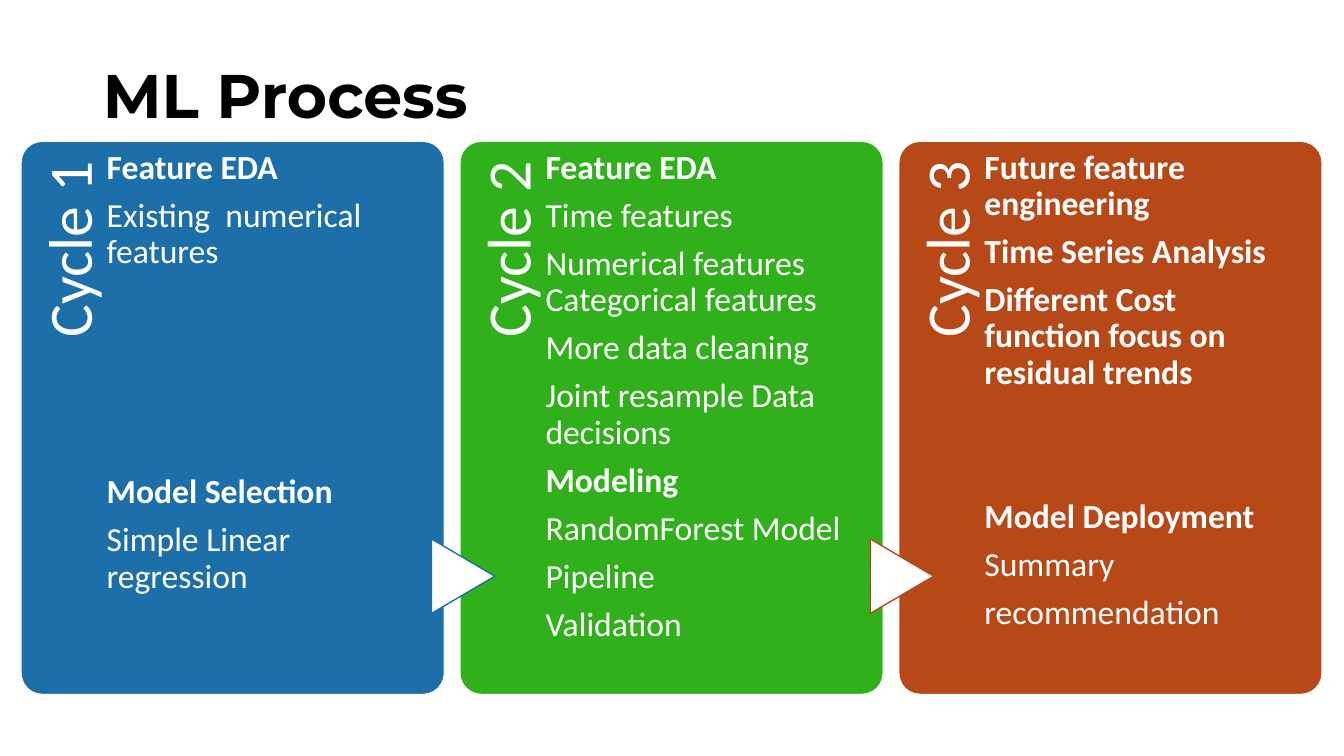
from pptx import Presentation
from pptx.dml.color import RGBColor
from pptx.enum.shapes import MSO_SHAPE
from pptx.enum.text import MSO_ANCHOR, PP_ALIGN
from pptx.util import Cm, Pt

ROUNDED = MSO_SHAPE.ROUNDED_RECTANGLE
TRIANGLE = MSO_SHAPE.FLOWCHART_EXTRACT
MIDDLE, TOP = MSO_ANCHOR.MIDDLE, MSO_ANCHOR.TOP
LEFT, RIGHT = PP_ALIGN.LEFT, PP_ALIGN.RIGHT

BLACK = RGBColor(0x00, 0x00, 0x00)
WHITE = RGBColor(0xFF, 0xFF, 0xFF)
BLUE = RGBColor(0x1D, 0x6F, 0xA9)
GREEN = RGBColor(0x30, 0xB0, 0x1B)
RUST = RGBColor(0xB7, 0x49, 0x19)

CARD_LEFT, CARD_TOP, CARD_PITCH = 0.53, 3.56, 11.06
CARD_WIDTH, CARD_HEIGHT = 10.67, 13.94
BLANK_LINE = 34.3

# Each item: text, bold, blank lines of space above
CYCLES = [
    ("Cycle 1", BLUE, [
        ("Feature EDA", True, 0),
        ("Existing  numerical features", False, 0),
        ("Model Selection", True, 4),
        ("Simple Linear regression", False, 0),
    ]),
    ("Cycle 2", GREEN, [
        ("Feature EDA", True, 0),
        ("Time features", False, 0),
        ("Numerical features Categorical features", False, 0),
        ("More data cleaning", False, 0),
        ("Joint resample Data decisions", False, 0),
        ("Modeling", True, 0),
        ("RandomForest Model", False, 0),
        ("Pipeline", False, 0),
        ("Validation", False, 0),
    ]),
    ("Cycle 3", RUST, [
        ("Future feature engineering", True, 0),
        ("Time Series Analysis", True, 0),
        ("Different Cost function focus on residual trends", True, 0),
        ("Model Deployment", True, 2),
        ("Summary", False, 0),
        ("recommendation", False, 0),
    ]),
]


def format_paragraph(paragraph, font_name, size, color, bold=False, alignment=LEFT):
    paragraph.alignment = alignment
    paragraph.line_spacing = 0.9
    for run in paragraph.runs:
        run.font.name = font_name
        run.font.size = Pt(size)
        run.font.color.rgb = color
        run.font.bold = bold


def set_title(slide, text):
    title = slide.shapes.title
    title.left, title.top = Cm(2.34), Cm(0.64)
    title.width, title.height = Cm(29.21), Cm(3.68)
    title.text_frame.text = text
    title.text_frame.vertical_anchor = MIDDLE
    format_paragraph(title.text_frame.paragraphs[0], "Montserrat", 44, BLACK, bold=True)


def add_filled_shape(slide, kind, left, top, width, height, fill, line):
    shape = slide.shapes.add_shape(kind, Cm(left), Cm(top), Cm(width), Cm(height))
    shape.shadow.inherit = False
    shape.fill.solid()
    shape.fill.fore_color.rgb = fill
    shape.line.color.rgb = line
    shape.line.width = Pt(1)
    return shape


def add_text_box(slide, left, top, width, height, inset_top, inset_right):
    box = slide.shapes.add_textbox(Cm(left), Cm(top), Cm(width), Cm(height))
    frame = box.text_frame
    frame.word_wrap = True
    frame.vertical_anchor = TOP
    frame.margin_left = frame.margin_bottom = 0
    frame.margin_top, frame.margin_right = Cm(inset_top), Cm(inset_right)
    return box


def add_card(slide, left, color):
    card = add_filled_shape(slide, ROUNDED, left, CARD_TOP, CARD_WIDTH, CARD_HEIGHT, color, WHITE)
    card.adjustments[0] = 0.05


def add_cycle_label(slide, card_left, text):
    box = add_text_box(slide, card_left - 4.65, 8.2, 11.46, 2.13, 0.43, 0.53)
    box.rotation = 270
    box.text_frame.text = text
    format_paragraph(box.text_frame.paragraphs[0], "Calibri", 44, WHITE, alignment=RIGHT)


def add_arrow(slide, card_left, line_color):
    arrow = add_filled_shape(slide, TRIANGLE, card_left - 0.86, 13.72, 1.88, 1.6, WHITE, line_color)
    arrow.rotation = 90


def add_step_list(slide, card_left, steps):
    box = add_text_box(slide, card_left + 2.16, CARD_TOP, 7.95, CARD_HEIGHT, 0.23, 0)
    frame = box.text_frame
    frame.text = "\n".join(text for text, _, _ in steps)
    for paragraph, (_, bold, blank_lines) in zip(frame.paragraphs, steps):
        format_paragraph(paragraph, "Calibri", 24, WHITE, bold)
        paragraph.space_before = Pt(BLANK_LINE * blank_lines)
        paragraph.space_after = Pt(8.4)


def main():
    presentation = Presentation()
    presentation.slide_width, presentation.slide_height = Cm(33.87), Cm(19.05)
    slide = presentation.slides.add_slide(presentation.slide_layouts[5])
    set_title(slide, "ML Process")
    previous_color = None
    for index, (label, color, steps) in enumerate(CYCLES):
        left = CARD_LEFT + index * CARD_PITCH
        add_card(slide, left, color)
        add_cycle_label(slide, left, label)
        if previous_color is not None:
            arrow_color = BLUE if index == 1 else RUST
            add_arrow(slide, left, arrow_color)
        add_step_list(slide, left, steps)
        previous_color = color
    presentation.save("out.pptx")


main()
